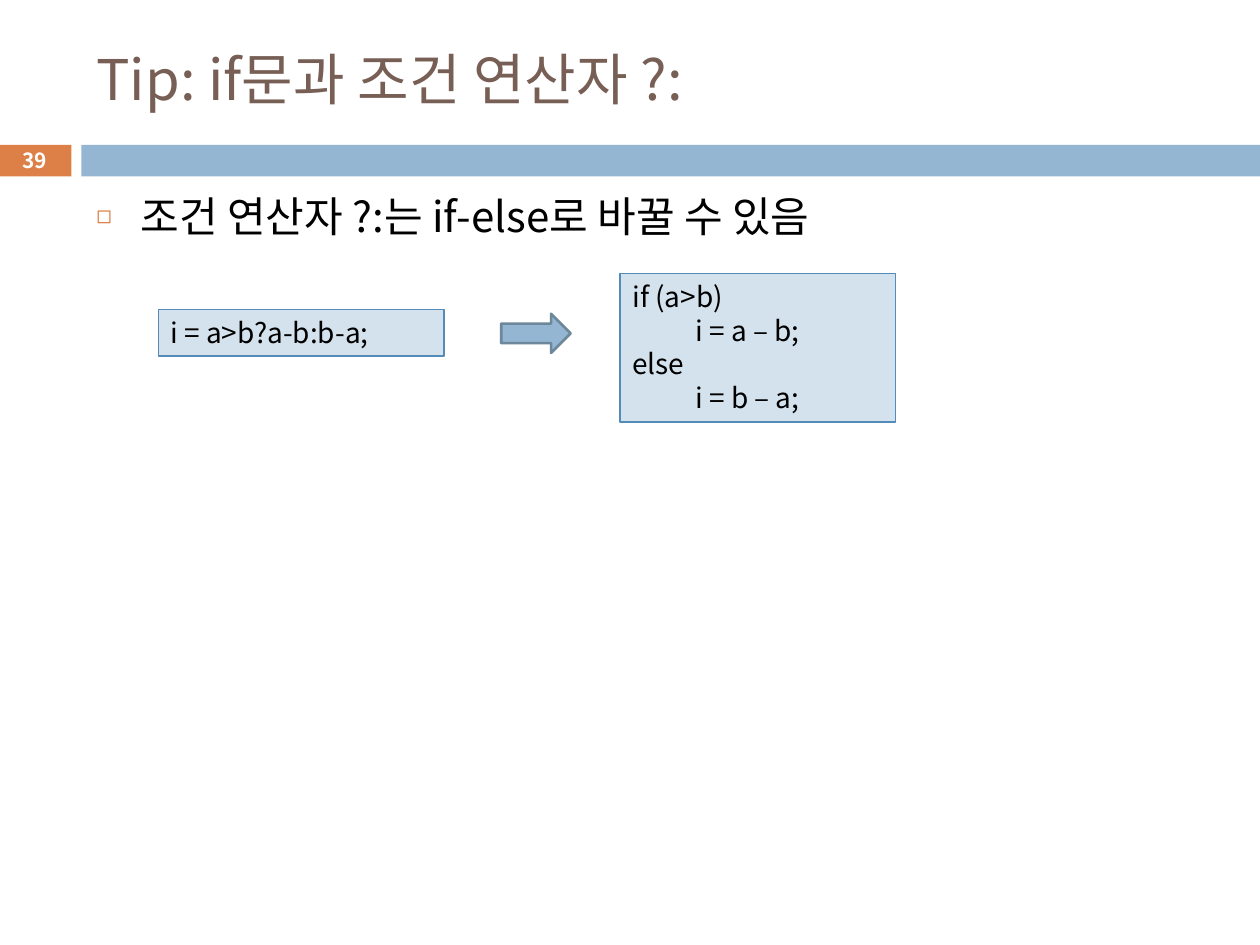
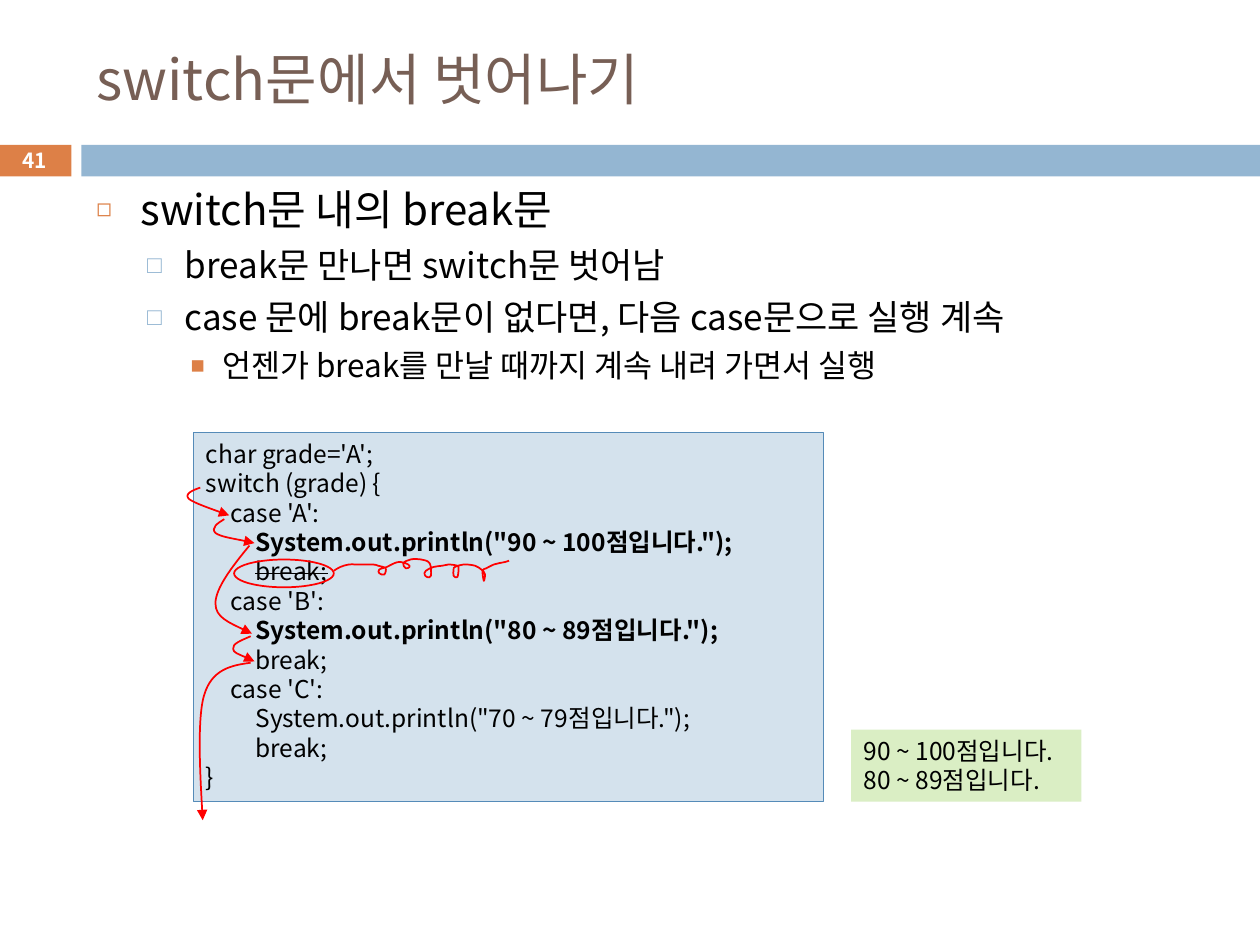
"""Build two Java lecture slides: the conditional operator and leaving a switch statement."""
from lxml.etree import SubElement
from pptx import Presentation
from pptx.dml.color import RGBColor
from pptx.enum.shapes import MSO_SHAPE as SHAPE
from pptx.enum.text import MSO_ANCHOR as ANCHOR, MSO_AUTO_SIZE as AUTO, PP_ALIGN as ALIGN
from pptx.oxml.ns import qn
from pptx.util import Cm, Pt

FONT = "Noto Sans CJK KR"
BLACK = RGBColor(0x00, 0x00, 0x00)
WHITE = RGBColor(0xFF, 0xFF, 0xFF)
BROWN = RGBColor(0x77, 0x5F, 0x55)
ORANGE = RGBColor(0xDD, 0x80, 0x47)
BLUE = RGBColor(0x94, 0xB6, 0xD2)
PALE_BLUE = RGBColor(0xD4, 0xE2, 0xED)
EDGE_BLUE = RGBColor(0x55, 0x8B, 0xB8)
ARROW_EDGE = RGBColor(0x6D, 0x87, 0x9B)
PALE_GREEN = RGBColor(0xDA, 0xEE, 0xC4)
RED = RGBColor(0xFF, 0x00, 0x00)

BANDS = [(-0.03, 1.47, ORANGE), (1.64, 23.76, BLUE)]
LEVELS = [
    (24, 0.89, 0.89, 7, "◻", ORANGE, 60),
    (20, 1.78, 0.76, 5.5, "□", BLUE, 70),
    (18, 2.54, 0.64, 5, "■", ORANGE, 75),
]
SLIDES = [
    {
        "number": "39",
        "title": "Tip: if문과 조건 연산자 ?:",
        "body": (3.72, 14),
        "bullets": [(0, "조건 연산자 ?:는 if-else로 바꿀 수 있음")],
        "boxes": [
            (12.5, 5.51, 5.56, 3, PALE_BLUE, EDGE_BLUE, 16, 1.27, [
                (0, "if (a>b)", ""),
                (1, "i = a – b;", ""),
                (0, "else", ""),
                (1, "i = b – a;", ""),
            ]),
            (3.19, 6.24, 5.76, 0.94, PALE_BLUE, EDGE_BLUE, 16, 0, [
                (0, "i = a>b?a-b:b-a;", ""),
            ]),
        ],
    },
    {
        "number": "41",
        "title": "switch문에서 벗어나기",
        "body": (3.58, 5.56),
        "bullets": [
            (0, "switch문 내의 break문"),
            (1, "break문 만나면 switch문 벗어남"),
            (1, "case 문에 break문이 없다면, 다음 case문으로 실행 계속"),
            (2, "언젠가 break를 만날 때까지 계속 내려 가면서 실행"),
        ],
        "boxes": [
            (3.9, 8.72, 12.7, 7.44, PALE_BLUE, EDGE_BLUE, 14, 0.5, [
                (0, "char grade='A';", ""),
                (0, "switch (grade) {", ""),
                (1, "case 'A':", ""),
                (2, 'System.out.println("90 ~ 100점입니다.");', "bold"),
                (2, "break;", "strike"),
                (1, "case 'B':", ""),
                (2, 'System.out.println("80 ~ 89점입니다.");', "bold"),
                (2, "break;", ""),
                (1, "case 'C':", ""),
                (2, 'System.out.println("70 ~ 79점입니다.");', ""),
                (2, "break;", ""),
                (0, "}", ""),
            ]),
            (17.16, 14.71, 4.64, 1.45, PALE_GREEN, None, 14, 0, [
                (0, "90 ~ 100점입니다.", ""),
                (0, "80 ~ 89점입니다.", ""),
            ]),
        ],
    },
]
FLOW_ARROWS = [
    [(1.59, 3.87), (1.53, 3.89), (1.46, 3.92), (1.5, 3.96), (1.54, 3.99), (1.68, 4.04), (1.82, 4.09)],
    [(1.78, 4.12), (1.73, 4.15), (1.67, 4.19), (1.71, 4.23), (1.75, 4.26), (1.89, 4.28), (2.02, 4.31)],
    [(1.98, 4.33), (1.84, 4.5), (1.71, 4.67), (1.71, 4.79), (1.71, 4.9), (1.86, 4.96), (2, 5.03)],
    [(1.99, 5.05), (1.92, 5.08), (1.84, 5.11), (1.85, 5.15), (1.85, 5.18), (1.94, 5.21), (2.02, 5.25)],
    [(1.99, 5.26), (1.84, 5.28), (1.68, 5.31), (1.62, 5.52), (1.56, 5.72), (1.61, 6.51), (1.61, 6.51)],
]
SQUIGGLE = [
    (2.65, 4.53), (2.7, 4.5), (2.77, 4.48), (2.83, 4.48), (2.96, 4.48), (3, 4.49),
    (3.06, 4.51), (3.05, 4.56), (3.01, 4.55), (3.01, 4.52), (3.07, 4.5), (3.13, 4.47),
    (3.18, 4.46), (3.24, 4.48), (3.25, 4.5), (3.22, 4.51), (3.2, 4.47),
    (3.26, 4.44), (3.34, 4.44), (3.41, 4.47), (3.42, 4.57), (3.39, 4.58),
    (3.37, 4.56), (3.38, 4.53), (3.44, 4.5), (3.51, 4.49), (3.56, 4.48), (3.63, 4.49),
    (3.64, 4.51), (3.63, 4.58), (3.6, 4.57), (3.6, 4.52), (3.61, 4.5), (3.68, 4.48),
    (3.77, 4.49), (3.82, 4.52), (3.84, 4.54), (3.85, 4.56), (3.84, 4.61),
    (3.83, 4.53), (3.86, 4.51), (3.92, 4.48), (3.96, 4.47), (4.01, 4.46), (4.04, 4.45),
]


def add_run(p, text, size, color, style=""):
    """Add one run and fix the line pitch of its paragraph."""
    p.line_spacing = Pt(1.2 * size)
    r = p.add_run()
    r.text = text
    r.font.size = Pt(size)
    r.font.name = FONT
    r.font.bold = style == "bold"
    r.font.color.rgb = color
    if style == "strike":
        r._r.get_or_add_rPr().set("strike", "sngStrike")


def add_curve(s, points):
    """Draw a red Bezier line: a start, then two controls and an end per part, in inches."""
    points = [(Cm(2.54 * x), Cm(2.54 * y)) for x, y in points]
    builder = s.shapes.build_freeform(*points[0])
    builder.add_line_segments(points[1:], close=False)
    sp = builder.convert_to_shape()
    sp.shadow.inherit = False
    sp.fill.background()
    sp.line.color.rgb = RED
    sp.line.width = Pt(1)
    lines = list(sp._element.iter(qn("a:lnTo")))
    outline = lines[0].getparent()
    for i in range(0, len(lines), 3):
        part = SubElement(outline, qn("a:cubicBezTo"))
        for line in lines[i:i + 3]:
            part.append(line[0])
            outline.remove(line)
    return sp


prs = Presentation()
prs.slide_width, prs.slide_height = Cm(25.4), Cm(19.05)

for page in SLIDES:
    s = prs.slides.add_slide(prs.slide_layouts[1])

    for left, width, color in BANDS:
        sp = s.shapes.add_shape(SHAPE.RECTANGLE, Cm(left), Cm(2.92), Cm(width), Cm(0.64))
        sp.shadow.inherit = False
        sp.fill.solid()
        sp.fill.fore_color.rgb = color
        sp.line.fill.background()

    title, body = s.placeholders
    top, height = page["body"]
    for sp, y, h, anchor in ((title, 0.64, 1.88, ANCHOR.MIDDLE), (body, top, height, ANCHOR.TOP)):
        sp.left, sp.top, sp.width, sp.height = Cm(1.69), Cm(y), Cm(22.66), Cm(h)
        sp.text_frame.auto_size = AUTO.NONE
        sp.text_frame.vertical_anchor = anchor
    p = title.text_frame.paragraphs[0]
    p.alignment = ALIGN.LEFT
    add_run(p, page["title"], 32, BROWN)

    tf = body.text_frame
    for i, (level, text) in enumerate(page["bullets"]):
        size, margin, hang, before, char, color, percent = LEVELS[level]
        p = tf.add_paragraph() if i else tf.paragraphs[0]
        p.level = level
        p.space_before = Pt(before)
        add_run(p, text, size, BLACK)
        pPr = p._p.get_or_add_pPr()
        pPr.set("marL", str(Cm(margin)))
        pPr.set("indent", str(-Cm(hang)))
        SubElement(SubElement(pPr, qn("a:buClr")), qn("a:srgbClr")).set("val", str(color))
        SubElement(pPr, qn("a:buSzPct")).set("val", str(percent * 1000))
        SubElement(pPr, qn("a:buChar")).set("char", char)

    for left, top, width, height, fill, edge, size, step, lines in page["boxes"]:
        sp = s.shapes.add_shape(SHAPE.RECTANGLE, Cm(left), Cm(top), Cm(width), Cm(height))
        sp.shadow.inherit = False
        sp.fill.solid()
        sp.fill.fore_color.rgb = fill
        if edge:
            sp.line.color.rgb = edge
            sp.line.width = Pt(0.75)
        else:
            sp.line.fill.background()
        tf = sp.text_frame
        tf.word_wrap = True
        tf.margin_right = 0
        tf.vertical_anchor = ANCHOR.TOP
        for i, (depth, text, style) in enumerate(lines):
            p = tf.add_paragraph() if i else tf.paragraphs[0]
            p.alignment = ALIGN.LEFT
            add_run(p, text, size, BLACK, style)
            p._p.get_or_add_pPr().set("marL", str(Cm(depth * step)))

    sp = s.shapes.add_textbox(Cm(-0.03), Cm(2.88), Cm(1.47), Cm(0.69))
    tf = sp.text_frame
    tf.word_wrap = True
    tf.vertical_anchor = ANCHOR.MIDDLE
    p = tf.paragraphs[0]
    p.alignment = ALIGN.CENTER
    add_run(p, page["number"], 11.9, WHITE, "bold")

operator_slide, switch_slide = prs.slides

arrow = operator_slide.shapes.add_shape(SHAPE.DOWN_ARROW, Cm(10.41), Cm(6.02), Cm(0.79), Cm(1.4))
arrow.rotation = 270
arrow.shadow.inherit = False
arrow.fill.solid()
arrow.fill.fore_color.rgb = BLUE
arrow.line.color.rgb = ARROW_EDGE
arrow.line.width = Pt(1.5)

ring = switch_slide.shapes.add_shape(SHAPE.OVAL, Cm(4.72), Cm(11.28), Cm(2.01), Cm(0.56))
ring.shadow.inherit = False
ring.fill.background()
ring.line.color.rgb = RED
ring.line.width = Pt(1)

ends = [SQUIGGLE[0], *SQUIGGLE, SQUIGGLE[-1]]
scribble = [SQUIGGLE[0]]
for (ax, ay), (bx, by), (cx, cy), (dx, dy) in zip(ends, ends[1:], ends[2:], ends[3:]):
    scribble += [
        (bx + (cx - ax) / 6, by + (cy - ay) / 6),
        (cx - (dx - bx) / 6, cy - (dy - by) / 6),
        (cx, cy),
    ]
add_curve(switch_slide, scribble)

for points in FLOW_ARROWS:
    sp = add_curve(switch_slide, points)
    SubElement(sp.line._get_or_add_ln(), qn("a:tailEnd")).set("type", "triangle")

prs.save("out.pptx")
